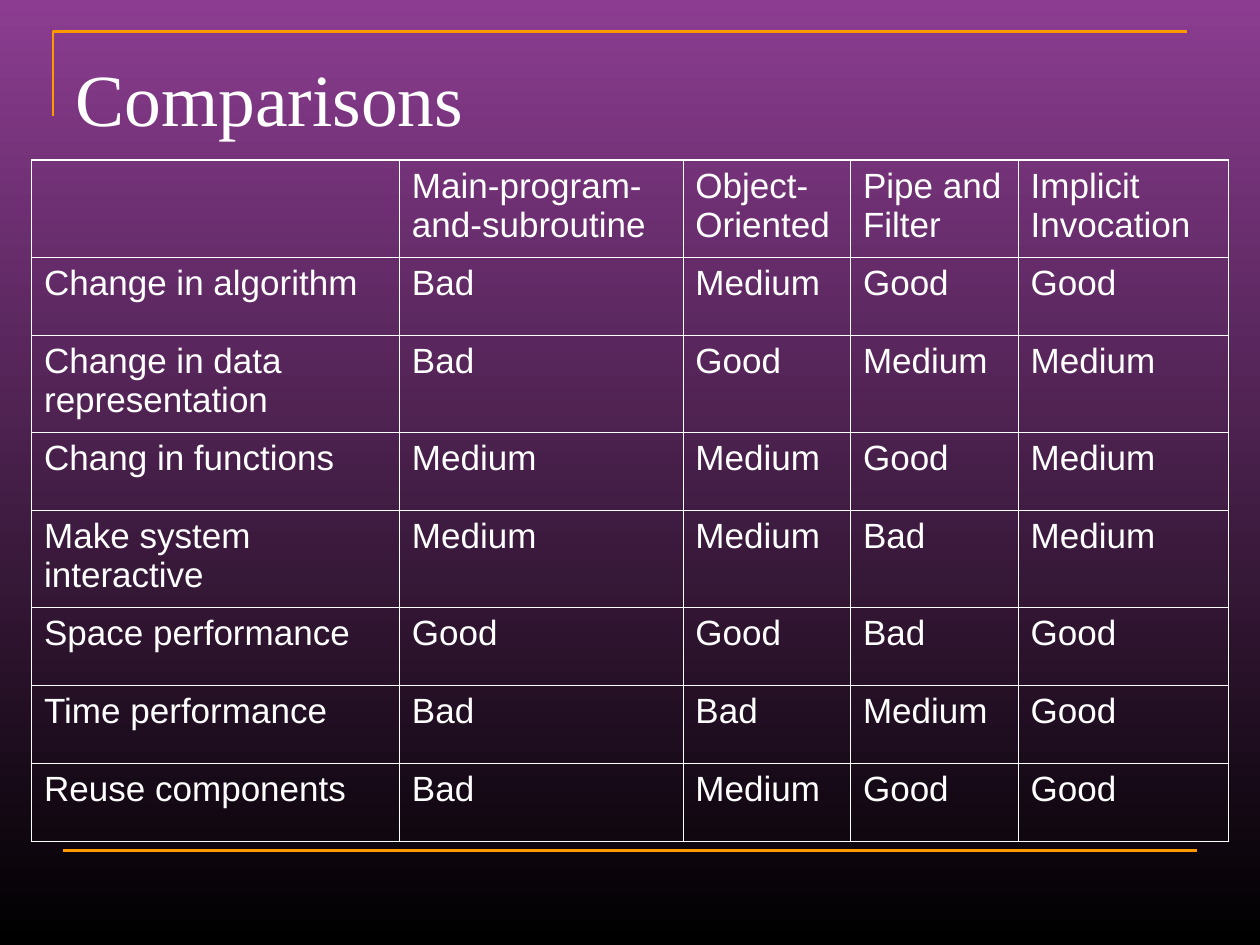
from lxml.etree import SubElement
from pptx import Presentation
from pptx.dml.color import RGBColor
from pptx.enum.shapes import MSO_CONNECTOR
from pptx.enum.text import MSO_ANCHOR, MSO_AUTO_SIZE, PP_ALIGN
from pptx.oxml import parse_xml
from pptx.oxml.ns import nsdecls, qn
from pptx.util import Inches, Pt

COLORS = {"text": "FFFFFF", "rule": "FF9900", "top": "8C3D91", "base": "000000"}
COLS = [2.92, 2.25, 1.33, 1.33, 1.67]
TALL, SHORT = 0.77, 0.62
HEIGHTS = [TALL, SHORT, TALL, SHORT, TALL, SHORT, SHORT, SHORT]
ROWS = [
    ["", "Main-program-and-subroutine", "Object-Oriented", "Pipe and Filter",
     "Implicit Invocation"],
    ["Change in algorithm", "Bad", "Medium", "Good", "Good"],
    ["Change in data representation", "Bad", "Good", "Medium", "Medium"],
    ["Chang in functions", "Medium", "Medium", "Good", "Medium"],
    ["Make system interactive", "Medium", "Medium", "Bad", "Medium"],
    ["Space performance", "Good", "Good", "Bad", "Good"],
    ["Time performance", "Bad", "Bad", "Medium", "Good"],
    ["Reuse components", "Bad", "Medium", "Good", "Good"],
]


def color(name):
    return RGBColor.from_string(COLORS[name])


class Deck:
    head, body = "Times New Roman", "Arial"
    thick, thin = 1.08, 0.45

    def __init__(self):
        self.file = Presentation()
        self.file.slide_width, self.file.slide_height = Inches(10), Inches(7.5)
        self.slide = self.file.slides.add_slide(self.file.slide_layouts[5])

    def backdrop(self):
        fill = self.slide.background.fill
        fill.gradient()
        fill.gradient_angle = 90
        for stop, name in zip(fill.gradient_stops, ("base", "top")):
            stop.color.rgb = color(name)

    def font(self, para, face, size):
        for run in para.runs:
            run.font.name, run.font.size = face, Pt(size)
            run.font.color.rgb = color("text")

    def title(self, text, left, top, width, height):
        shape = self.slide.shapes.title
        shape.left, shape.top = Inches(left), Inches(top)
        shape.width, shape.height = Inches(width), Inches(height)
        frame = shape.text_frame
        frame.text = text
        frame.auto_size = MSO_AUTO_SIZE.NONE
        frame.vertical_anchor = MSO_ANCHOR.TOP
        frame.margin_top = Inches(0.12)
        para = frame.paragraphs[0]
        para.alignment = PP_ALIGN.LEFT
        self.font(para, self.head, 42)

    def ink(self, line):
        line.color.rgb = color("rule")
        line.width = Pt(1.5)

    def corner(self, *points):
        """Draw an open outline through the points."""
        start, *rest = [(Inches(x), Inches(y)) for x, y in points]
        path = self.slide.shapes.build_freeform(*start)
        path.add_line_segments(rest, close=False)
        shape = path.convert_to_shape()
        shape.shadow.inherit = False
        shape.fill.background()
        self.ink(shape.line)

    def rule(self, left, right, y):
        line = self.slide.shapes.add_connector(
            MSO_CONNECTOR.STRAIGHT, Inches(left), Inches(y), Inches(right), Inches(y))
        SubElement(line._element.spPr, qn("a:effectLst"))
        self.ink(line.line)

    def border(self, cell, outer):
        """Line the four sides, thick where the side is in outer."""
        props = cell._tc.get_or_add_tcPr()
        for i, side in enumerate("LRTB"):
            width = Pt(self.thick if side in outer else self.thin)
            props.insert(i, parse_xml(
                f'<a:ln{side} {nsdecls("a")} w="{width}"><a:solidFill>'
                f'<a:srgbClr val="{COLORS["text"]}"/></a:solidFill></a:ln{side}>'))

    def table(self, rows, cols, heights, left, top):
        grid = self.slide.shapes.add_table(
            len(rows), len(cols), Inches(left), Inches(top),
            Inches(sum(cols)), Inches(sum(heights))).table
        grid.first_row = grid.horz_banding = False
        for col, width in zip(grid.columns, cols):
            col.width = Inches(width)
        for r, (row, height) in enumerate(zip(rows, heights)):
            grid.rows[r].height = Inches(height)
            for c, text in enumerate(row):
                cell = grid.cell(r, c)
                cell.text_frame.text = text
                cell.fill.background()
                self.font(cell.text_frame.paragraphs[0], self.body, 20)
                edges = {"L": c == 0, "R": c == len(cols) - 1,
                         "T": r == 0, "B": r == len(rows) - 1}
                self.border(cell, [side for side, on in edges.items() if on])


def main():
    deck = Deck()
    deck.backdrop()
    deck.corner((0.42, 0.92), (0.42, 0.25), (9.42, 0.25))
    deck.rule(0.5, 9.5, 6.75)
    deck.title("Comparisons", 0.5, 0.3, 9, 1.25)
    deck.table(ROWS, COLS, HEIGHTS, 0.25, 1.27)
    deck.file.save("out.pptx")


if __name__ == "__main__":
    main()
